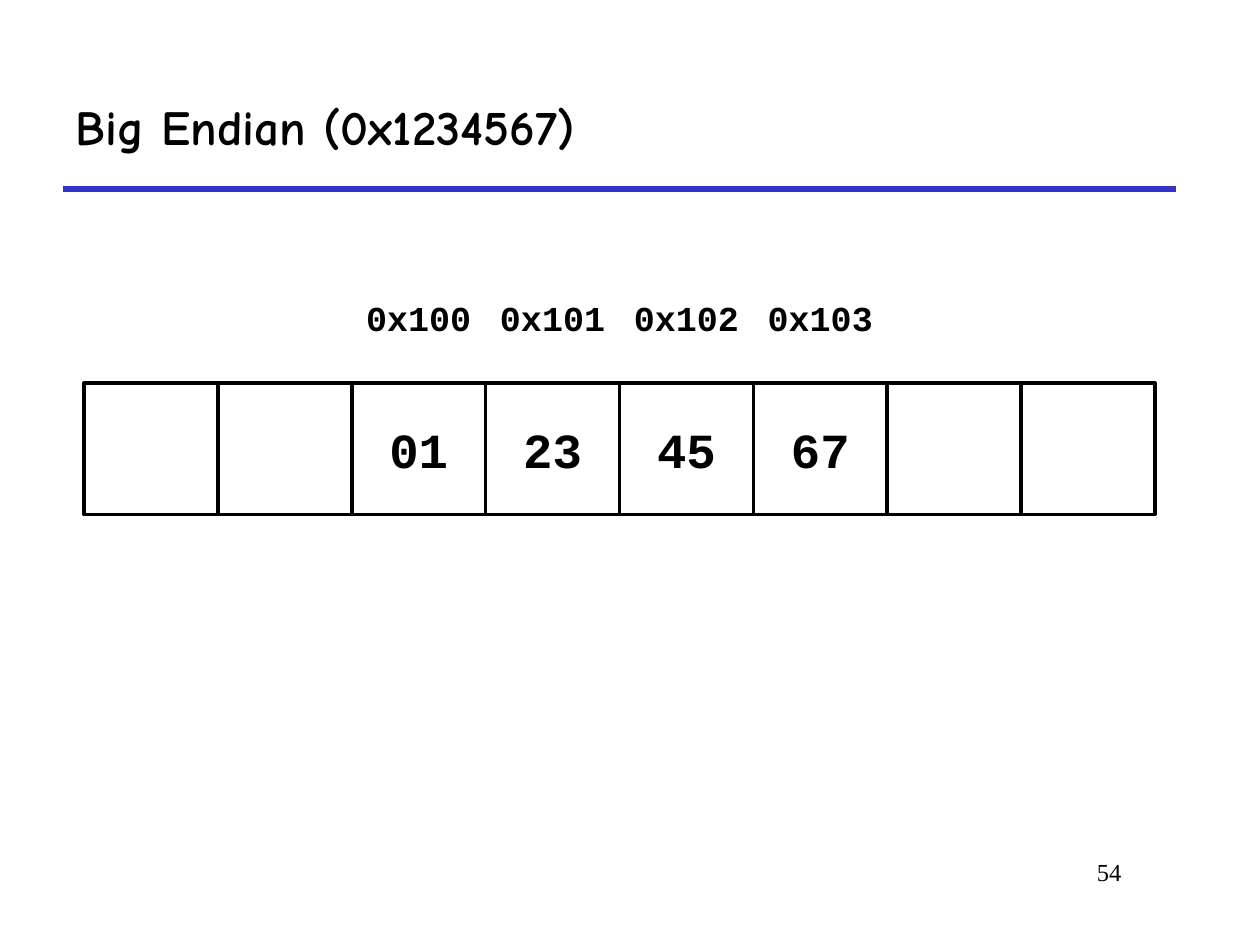
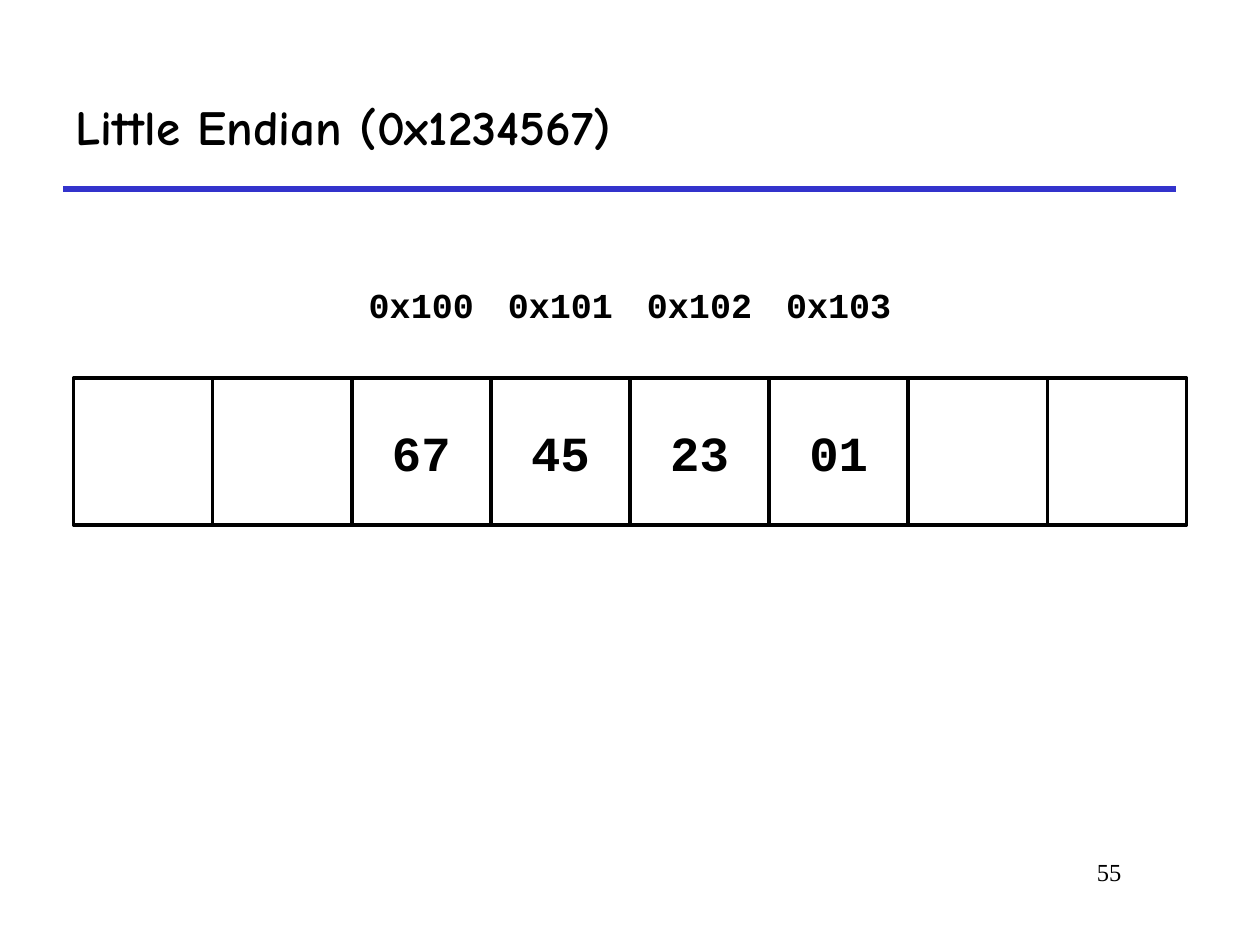
from pptx import Presentation
from pptx.dml.color import RGBColor
from pptx.enum.shapes import MSO_CONNECTOR as Connector, MSO_SHAPE as Preset
from pptx.enum.text import MSO_ANCHOR as Anchor, MSO_AUTO_SIZE as AutoSize, PP_ALIGN as Align
from pptx.oxml import parse_xml
from pptx.oxml.ns import nsdecls
from pptx.util import Inches, Pt

COLORS = {"paper": "FFFFFF", "ink": "000000", "rule": "3333CC"}
FORMATS = {
    "title": {"name": "Comic Neue", "size": Pt(28), "bold": True},
    "number": {"name": "Times New Roman", "size": Pt(14), "bold": False},
    "address": {"name": "Courier New", "size": Pt(20), "bold": True},
    "byte": {"name": "Courier New", "size": Pt(28), "bold": True},
}
COLUMNS, ROWS = 120, 90
TITLE_ONLY = 5
CELLS, FIRST_USED = 8, 2
ADDRESSES = ["0x100", "0x101", "0x102", "0x103"]
SLIDES = [
    {"title": "Big Endian (0x1234567)", "number": 54, "data": ["01", "23", "45", "67"],
     "left": 8, "top": 36.5, "width": 12.75, "height": 12.5},
    {"title": "Little Endian (0x1234567)", "number": 55, "data": ["67", "45", "23", "01"],
     "left": 7, "top": 36, "width": 13.25, "height": 14},
]


def color(name):
    """Return a named colour."""
    return RGBColor.from_string(COLORS[name])


class Deck:
    """Holds the shared style and the current slide."""

    def __init__(self):
        """Start a presentation with a 120 by 90 grid."""
        self.presentation = Presentation()
        self.presentation.slide_width = Inches(10)
        self.presentation.slide_height = Inches(7.5)
        self.slide = None

    def grid(self, left, top, width, height):
        """Turn columns and rows into lengths."""
        column = self.presentation.slide_width / COLUMNS
        row = self.presentation.slide_height / ROWS
        return [round(length) for length in (left * column, top * row, width * column, height * row)]

    def label(self, shape, text, style, align, anchor=Anchor.MIDDLE, wrap=True):
        """Fill a shape with one styled paragraph."""
        frame = shape.text_frame
        frame_format = {"text": text, "word_wrap": wrap, "auto_size": AutoSize.NONE,
                        "vertical_anchor": anchor}
        for name, value in frame_format.items():
            setattr(frame, name, value)
        paragraph = frame.paragraphs[0]
        paragraph.alignment = align
        font = paragraph.runs[0].font
        for name, value in FORMATS[style].items():
            setattr(font, name, value)
        font.color.rgb = color("ink")

    def add_slide(self, title, number):
        """Add a slide with its title, rule and number."""
        layout = self.presentation.slide_layouts[TITLE_ONLY]
        self.slide = self.presentation.slides.add_slide(layout)
        self.rule(6, 112, 18)
        number_box = self.slide.shapes.add_textbox(*self.grid(91, 81, 17, 6))
        self.label(number_box, str(number), "number", Align.RIGHT, Anchor.TOP)
        heading = self.slide.shapes.title
        places = zip(("left", "top", "width", "height"), self.grid(6, 6, 106, 12))
        for name, value in places:
            setattr(heading, name, value)
        self.label(heading, title, "title", Align.LEFT)

    def rule(self, start, end, row):
        """Draw the horizontal rule below the title."""
        left, top, right, bottom = self.grid(start, row, end, row)
        line = self.slide.shapes.add_connector(Connector.STRAIGHT, left, top, right, bottom)
        line.line.color.rgb = color("rule")
        line.line.width = Pt(3)
        line._element.spPr.append(parse_xml(f"<a:effectLst {nsdecls('a')}/>"))

    def cell(self, group, box, text, style, outlined):
        """Draw one box of the memory row."""
        shape = group.shapes.add_shape(Preset.RECTANGLE, *self.grid(*box))
        shape.shadow.inherit = False
        shape.fill.solid()
        shape.fill.fore_color.rgb = color("paper")
        if outlined:
            shape.line.color.rgb = color("ink")
            shape.line.width = Pt(2)
        else:
            shape.line.fill.background()
        if text:
            self.label(shape, text, style, Align.CENTER, wrap=False)

    def memory(self, data, left, top, width, height):
        """Draw the addresses above a row of memory cells."""
        group = self.slide.shapes.add_group_shape()
        for index, address in enumerate(ADDRESSES, FIRST_USED):
            box = (left + index * width, top - height, width, height)
            self.cell(group, box, address, "address", False)
        used = dict(enumerate(data, FIRST_USED))
        for index in range(CELLS):
            box = (left + index * width, top, width, height)
            self.cell(group, box, used.get(index), "byte", True)


def main():
    """Build and save the slides."""
    deck = Deck()
    for content in SLIDES:
        deck.add_slide(content["title"], content["number"])
        deck.memory(*(content[name] for name in ("data", "left", "top", "width", "height")))
    deck.presentation.save("out.pptx")


main()
